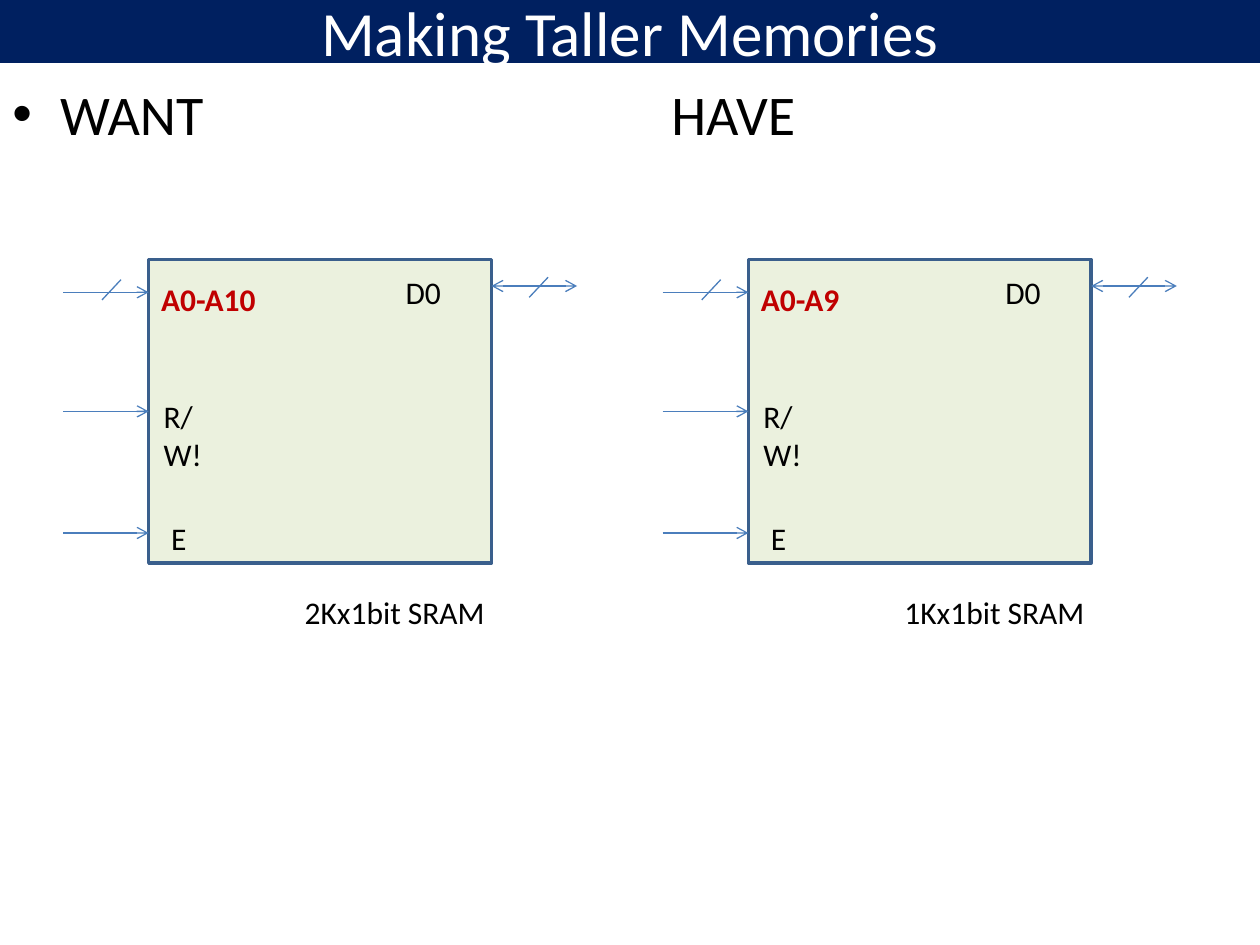
from lxml import etree
from pptx import Presentation
from pptx.dml.color import RGBColor
from pptx.enum.shapes import MSO_CONNECTOR, MSO_SHAPE
from pptx.enum.text import MSO_ANCHOR, PP_ALIGN
from pptx.oxml.ns import qn
from pptx.util import Inches, Pt

RECTANGLE = MSO_SHAPE.RECTANGLE
STRAIGHT = MSO_CONNECTOR.STRAIGHT
MIDDLE = MSO_ANCHOR.MIDDLE
CENTER = PP_ALIGN.CENTER
LEFT_SIDE = 1
FONT = "Calibri"
COLORS = {
    "banner": "002060",
    "white": "FFFFFF",
    "black": "000000",
    "address": "C00000",
    "chip": "EBF1DE",
    "chip_edge": "3A5F8C",
    "wire": "4B7EBC",
}


def color(name):
    """Return the named palette colour."""
    return RGBColor.from_string(COLORS[name])


def add_run(paragraph, text, size, color_name="black", bold=False):
    """Append a formatted run to a paragraph."""
    run = paragraph.add_run()
    run.text = text
    run.font.name = FONT
    run.font.size = Pt(size)
    run.font.bold = bold
    run.font.color.rgb = color(color_name)


def add_rectangle(shapes, left, top, width, height, fill):
    """Add a flat filled rectangle without an outline."""
    shape = shapes.add_shape(RECTANGLE, Inches(left), Inches(top), Inches(width), Inches(height))
    shape.shadow.inherit = False
    shape.fill.solid()
    shape.fill.fore_color.rgb = color(fill)
    shape.line.fill.background()
    return shape


def add_label(shapes, left, top, width, height, text, color_name="black", bold=False, wrap=False):
    """Add a pin or part label."""
    box = shapes.add_textbox(Inches(left), Inches(top), Inches(width), Inches(height))
    box.text_frame.word_wrap = wrap
    add_run(box.text_frame.paragraphs[0], text, 18, color_name, bold)


def add_wire(shapes, start, end, arrows=()):
    """Add a thin line with arrowheads at the given ends."""
    wire = shapes.add_connector(STRAIGHT, *(Inches(value) for value in (*start, *end)))
    wire.line.color.rgb = color("wire")
    wire.line.width = Pt(0.75)
    line = wire.line._get_or_add_ln()
    for arrow in arrows:
        etree.SubElement(line, qn(f"a:{arrow}"), type="arrow")
    etree.SubElement(wire._element.spPr, qn("a:effectLst"))
    return wire


def add_title(slide, left, top, width, height):
    """Add the title banner."""
    banner = add_rectangle(slide.shapes, left, top, width, height, "banner")
    banner.text_frame.vertical_anchor = MIDDLE
    paragraph = banner.text_frame.paragraphs[0]
    paragraph.alignment = CENTER
    add_run(paragraph, "Making Taller Memories", 36, "white")


def add_headings(slide, left, top, width, height):
    """Add the bulleted line that heads both columns."""
    box = slide.shapes.add_textbox(Inches(left), Inches(top), Inches(width), Inches(height))
    box.text_frame.word_wrap = True
    paragraph = box.text_frame.paragraphs[0]
    properties = paragraph._p.get_or_add_pPr()
    properties.set("marL", str(Inches(0.38)))
    properties.set("indent", str(-Inches(0.38)))
    etree.SubElement(properties, qn("a:buFont"), typeface="Arial")
    etree.SubElement(properties, qn("a:buChar"), char="•")
    tabs = etree.SubElement(properties, qn("a:tabLst"))
    etree.SubElement(tabs, qn("a:tab"), pos=str(Inches(5.23)), algn="l")
    add_run(paragraph, "WANT\tHAVE", 32)


def add_memory(slide, left, top, address, address_width, caption):
    """Add one memory chip with its pins, wires and caption."""
    shapes = slide.shapes.add_group_shape().shapes
    chip_left, chip_width, chip_height = left + 0.68, 2.72, 2.41
    chip_right = chip_left + chip_width
    chip = add_rectangle(shapes, chip_left, top, chip_width, chip_height, "chip")
    chip.line.color.rgb = color("chip_edge")
    chip.line.width = Pt(2)

    address_wire, control_wire, enable_wire = (
        add_wire(shapes, (left, top + drop), (chip_left, top + drop), ["tailEnd"])
        for drop in (0.26, chip_height / 2, 2.17)
    )
    control_wire.end_connect(chip, LEFT_SIDE)
    data_y = top + 0.21
    add_wire(shapes, (chip_right, data_y), (chip_right + 0.68, data_y), ["headEnd", "tailEnd"])
    for slash_left, slash_top in ((left + 0.31, top + 0.16), (chip_right + 0.3, top + 0.14)):
        add_wire(shapes, (slash_left + 0.15, slash_top), (slash_left, slash_top + 0.16))

    add_label(shapes, chip_left, top + 0.11, address_width, 0.4, address, "address", bold=True)
    add_label(shapes, chip_left + 1.94, top + 0.06, 0.49, 0.4, "D0")
    add_label(shapes, chip_left + 0.02, top + 1.04, 0.67, 0.32, "R/W!", wrap=True)
    add_label(shapes, chip_left + 0.08, top + 2.01, 0.29, 0.32, "E")
    add_label(shapes, chip_left + 1.14, top + 2.6, 1.64, 0.4, caption)


def main():
    """Build and save the slide."""
    presentation = Presentation()
    presentation.slide_width = Inches(10)
    presentation.slide_height = Inches(7.5)
    slide = presentation.slides.add_slide(presentation.slide_layouts[6])
    add_title(slide, 0, 0, 10, 0.5)
    add_headings(slide, 0, 0.58, 10, 6.92)
    memories = (("A0-A10", 0.97, "2Kx1bit SRAM"), ("A0-A9", 0.84, "1Kx1bit SRAM"))
    for column, memory in enumerate(memories):
        add_memory(slide, 0.5 + 4.76 * column, 2.06, *memory)
    presentation.save("out.pptx")


if __name__ == "__main__":
    main()
